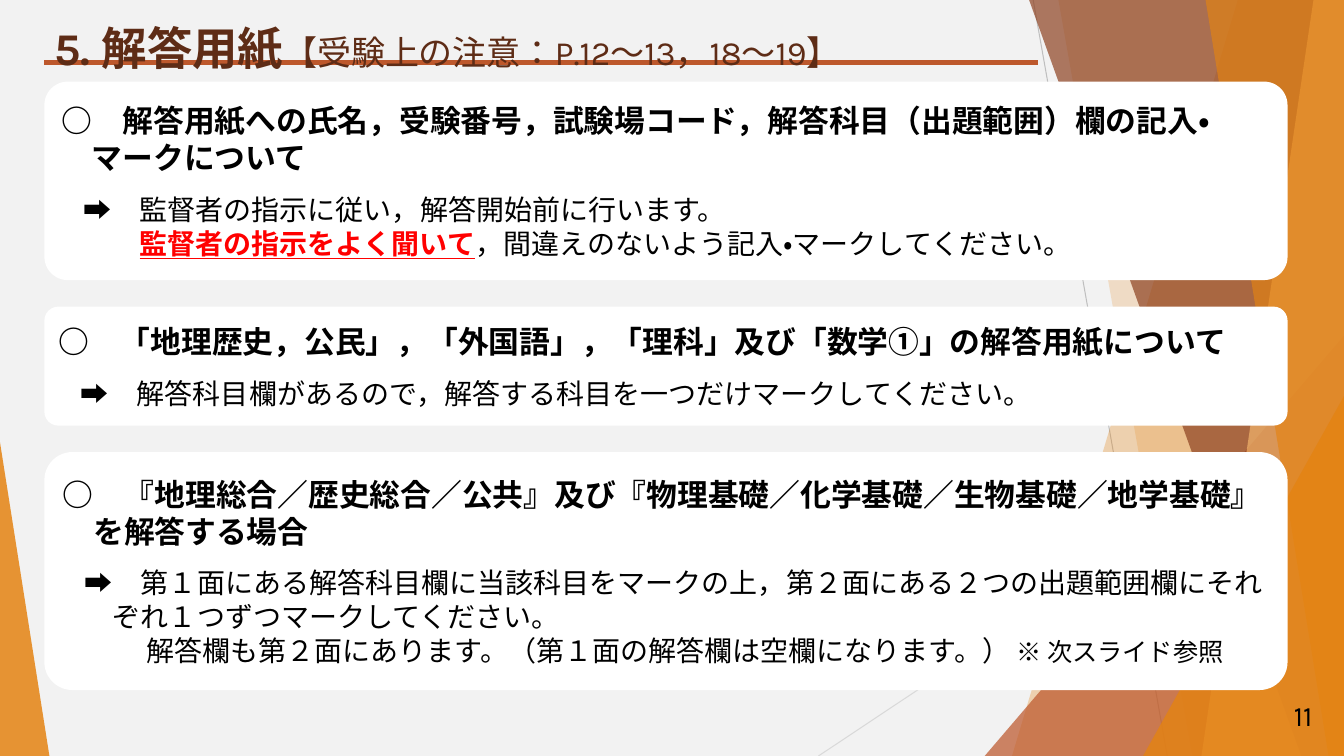
from lxml import etree
from pptx import Presentation
from pptx.dml.color import RGBColor
from pptx.enum.lang import MSO_LANGUAGE_ID as LANG
from pptx.enum.shapes import MSO_CONNECTOR, MSO_SHAPE
from pptx.enum.text import MSO_ANCHOR, PP_ALIGN
from pptx.oxml.ns import qn
from pptx.util import Pt

BACKGROUND = RGBColor(0xF2, 0xF2, 0xF2)
WHITE = RGBColor(0xFF, 0xFF, 0xFF)
BLACK = RGBColor(0x00, 0x00, 0x00)
RED = RGBColor(0xFF, 0x00, 0x00)
TITLE = RGBColor(0x5E, 0x2C, 0x16)
ORANGE = RGBColor(0xE4, 0x83, 0x12)
PEACH = RGBColor(0xF3, 0xB5, 0x6C)
RUST = RGBColor(0xBD, 0x58, 0x2C)
BROWN = RGBColor(0x8E, 0x42, 0x21)
GREY = RGBColor(0xBF, 0xBF, 0xBF)
LIGHT_GREY = RGBColor(0xD9, 0xD9, 0xD9)
W, H = 960, 540
LEFT, BOX_W, GAP = 31.7, 888, 18.9

prs = Presentation()
prs.slide_width, prs.slide_height = Pt(W), Pt(H)
s = prs.slides.add_slide(prs.slide_layouts[6])
s.background.fill.solid()
s.background.fill.fore_color.rgb = BACKGROUND


def paint(sp, color, opacity=100):
    sp.shadow.inherit = False
    sp.line.fill.background()
    sp.fill.solid()
    sp.fill.fore_color.rgb = color
    if opacity < 100:
        clr = sp._element.spPr.find(qn("a:solidFill"))[0]
        etree.SubElement(clr, qn("a:alpha")).set("val", str(opacity * 1000))


def add_run(p, text, size, color=BLACK, bold=False, underline=False):
    r = p.add_run()
    r.text = text
    f = r.font
    f.name, f.size, f.bold = "Karla", Pt(size), bold
    f.underline = underline
    f.color.rgb = color
    f.language_id = LANG.JAPANESE


lines = [
    (738, 0, 833.8, H, GREY, 0.75),
    (W, 290.2, 584.6, H, LIGHT_GREY, 0.75),
    (LEFT, 44.6, 741.6, 44.6, RUST, 3),
]
for x1, y1, x2, y2, color, width in lines:
    c = s.shapes.add_connector(MSO_CONNECTOR.STRAIGHT, Pt(x1), Pt(y1), Pt(x2), Pt(y2))
    c.line.color.rgb = color
    c.line.width = Pt(width)
    etree.SubElement(c._element.spPr, qn("a:effectLst"))

bands = [
    ("band", 884.2, 722.9, ORANGE, 30),
    ("band", 756, 851.8, ORANGE, 20),
    ("triangle", 703.4, 239.8, RUST, 72),
    ("band", 735.1, 929.5, BROWN, 70),
    ("band", 938.2, 858.2, PEACH, 70),
    ("band", 861.1, 949, ORANGE, 65),
    ("triangle", 816.5, 283, ORANGE, 80),
]
for kind, a, b, color, opacity in bands:
    if kind == "band":
        fb = s.shapes.build_freeform(Pt(a), 0)
        fb.add_line_segments([(Pt(W), 0), (Pt(W), Pt(H)), (Pt(b), Pt(H))], close=True)
        sp = fb.convert_to_shape()
    else:
        sp = s.shapes.add_shape(MSO_SHAPE.ISOSCELES_TRIANGLE, Pt(a), Pt(b), Pt(W - a), Pt(H - b))
        sp.adjustments[0] = 1
    paint(sp, color, opacity)

sp = s.shapes.add_shape(MSO_SHAPE.ISOSCELES_TRIANGLE, 0, Pt(316), Pt(35.3), Pt(224))
sp.adjustments[0] = 0
paint(sp, ORANGE, 85)

tf = s.shapes.add_textbox(Pt(LEFT), Pt(10.8), Pt(708.5), Pt(44.6)).text_frame
tf.word_wrap = True
add_run(tf.paragraphs[0], "5. 解答用紙", 32.4, TITLE, True)
add_run(tf.paragraphs[0], "【受験上の注意：P.12～13，18～19】", 24.3, TITLE)

boxes = [
    (141.8, [
        (0, 0, [("○　解答用紙への氏名，受験番号，試験場コード，解答科目（出題範囲）欄の記入・", 22, BLACK, True)]),
        (22, 0, [("マークについて", 22, BLACK, True)]),
        (16, 12, [("➡　監督者の指示に従い，解答開始前に行います。", 20)]),
        (56, 0, [("監督者の指示をよく聞いて", 20, RED, True, True),
                 ("，間違えのないよう記入・マークしてください。", 20)]),
    ]),
    (85, [
        (0, 0, [("○　「地理歴史，公民」，「外国語」，「理科」及び「数学①」の解答用紙について", 22, BLACK, True)]),
        (16, 12, [("➡　解答科目欄があるので，解答する科目を一つだけマークしてください。", 20)]),
    ]),
    (170, [
        (0, 0, [("○　『地理総合／歴史総合／公共』及び『物理基礎／化学基礎／生物基礎／地学基礎』", 22, BLACK, True)]),
        (22, 0, [("を解答する場合", 22, BLACK, True)]),
        (16, 12, [("➡　第１面にある解答科目欄に当該科目をマークの上，第２面にある２つの出題範囲欄にそれ", 20)]),
        (36, 0, [("ぞれ１つずつマークしてください。", 20)]),
        (60, 0, [("解答欄も第２面にあります。（第１面の解答欄は空欄になります。）", 20),
                 (" ※ 次スライド参照", 18)]),
    ]),
]
top = 58.3
for height, paragraphs in boxes:
    sp = s.shapes.add_shape(MSO_SHAPE.ROUNDED_RECTANGLE, Pt(LEFT), Pt(top), Pt(BOX_W), Pt(height))
    sp.adjustments[0] = 0.118
    paint(sp, WHITE)
    tf = sp.text_frame
    tf.word_wrap = True
    tf.vertical_anchor = MSO_ANCHOR.MIDDLE
    for i, (indent, before, runs) in enumerate(paragraphs):
        p = tf.add_paragraph() if i else tf.paragraphs[0]
        p.alignment = PP_ALIGN.LEFT
        p.space_before = Pt(before)
        p._p.get_or_add_pPr().set("marL", str(Pt(indent)))
        for run in runs:
            add_run(p, *run)
    top += height + GAP

tf = s.shapes.add_textbox(Pt(890.6), Pt(496.8), Pt(54), Pt(28.8)).text_frame
tf.word_wrap = True
tf.vertical_anchor = MSO_ANCHOR.MIDDLE
p = tf.paragraphs[0]
p.alignment = PP_ALIGN.RIGHT
add_run(p, "11", 20)

prs.save("out.pptx")
